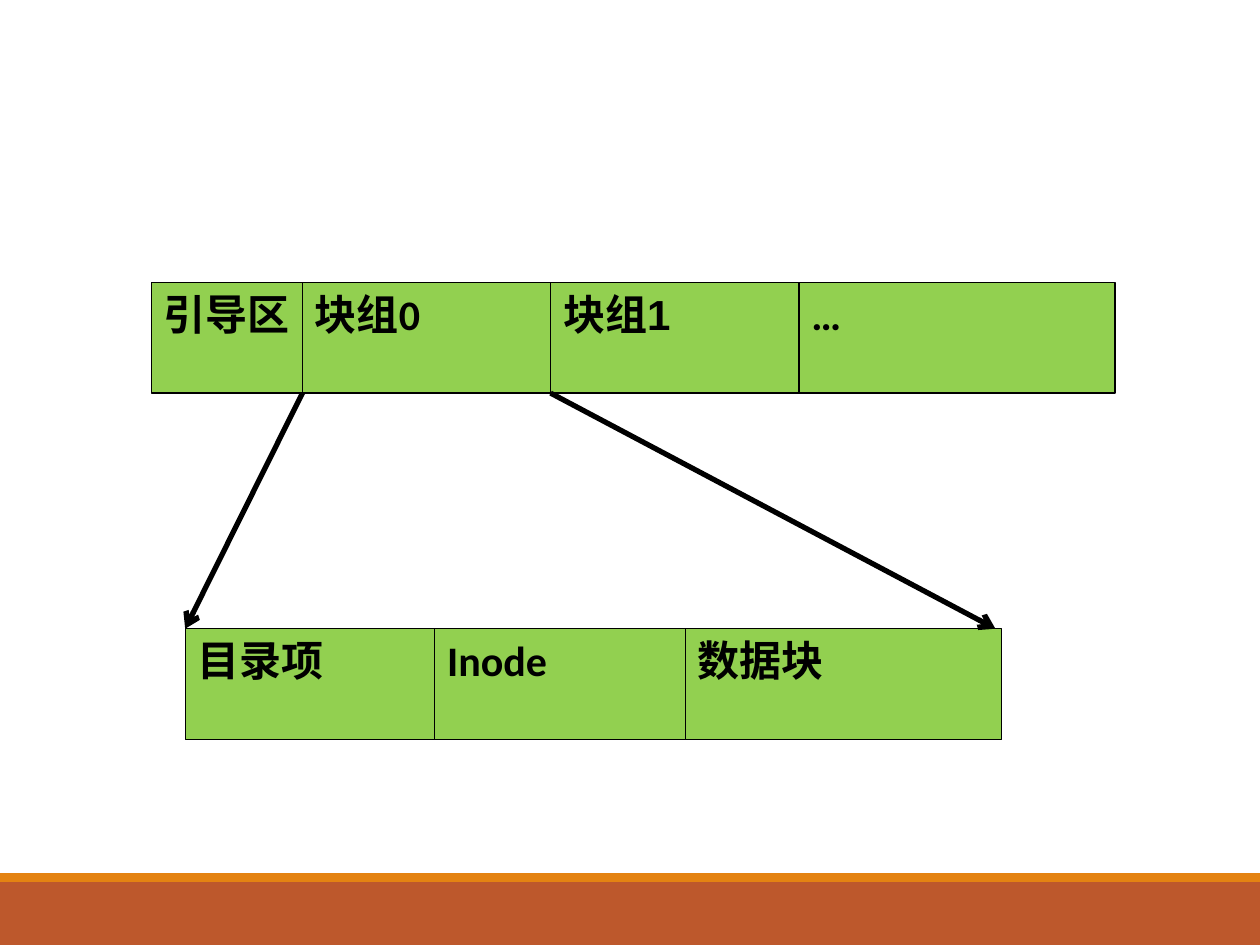
from lxml.etree import SubElement
from pptx import Presentation
from pptx.dml.color import RGBColor
from pptx.enum.shapes import MSO_CONNECTOR as Link, MSO_SHAPE as Form
from pptx.enum.text import MSO_ANCHOR as Anchor, PP_ALIGN as Align
from pptx.oxml.ns import qn
from pptx.util import Inches, Pt

GREEN = RGBColor(0x92, 0xD0, 0x50)
BLACK = RGBColor(0, 0, 0)
RUST = RGBColor(0xBD, 0x58, 0x2C)
AMBER = RGBColor(0xE4, 0x83, 0x12)

WIDE, HIGH = 10, 7.5
CELL, ROW = 2.51, 0.88


def add_rect(slide, box, fill):
    rect = slide.shapes.add_shape(Form.RECTANGLE, *map(Inches, box))
    rect.shadow.inherit = False
    rect.fill.solid()
    rect.fill.fore_color.rgb = fill
    rect.line.fill.background()
    return rect


def add_block(slide, box, runs):
    block = add_rect(slide, box, GREEN)
    block.line.color.rgb = BLACK
    block.line.width = Pt(0.75)
    frame = block.text_frame
    frame.word_wrap = False
    frame.vertical_anchor = Anchor.TOP
    para = frame.paragraphs[0]
    para.alignment = Align.LEFT
    for text, face in runs:
        run = para.add_run()
        run.text = text
        font = run.font
        font.name, font.size, font.bold = face, Pt(24), True
        font.color.rgb = BLACK


def add_strip(slide, left, top, pitch, first, blocks):
    for col, runs in enumerate(blocks):
        x = left + first + (col - 1) * pitch if col else left
        wide = CELL if col else first
        add_block(slide, (x, top, wide, ROW), runs)


def add_arrow(slide, start, end):
    arrow = slide.shapes.add_connector(
        Link.STRAIGHT, *map(Inches, (*start, *end)))
    arrow.line.color.rgb = BLACK
    arrow.line.width = Pt(3)
    SubElement(arrow.line._get_or_add_ln(), qn("a:tailEnd"), type="arrow")
    SubElement(arrow._element.spPr, qn("a:effectLst"))


def add_footer(slide, top, band):
    add_rect(slide, (0, top + band, WIDE, HIGH - top - band), RUST)
    add_rect(slide, (0, top, WIDE, band), AMBER)


def add_disk(slide, left, top):
    boot, pitch = 1.2, 1.97
    add_block(slide, (left, top, 1.53, ROW), [("引导区", "Calibri")])
    groups = [
        [("块组", "Arial"), ("0", "Calibri")],
        [("块组1", "Arial")],
        [("…", "Calibri")],
    ]
    add_strip(slide, left + boot, top, pitch, CELL, groups[:1])
    for col, runs in enumerate(groups[1:], 1):
        add_block(slide, (left + boot + col * pitch, top, CELL, ROW), runs)
    return [(left + boot + col * pitch, top + ROW) for col in range(2)]


def add_group(slide, left, top):
    pitch = 1.99
    parts = [("目录项", "Calibri"), ("Inode", "Calibri"), ("数据块", "Arial")]
    add_strip(slide, left, top, pitch, 1.98, [[part] for part in parts])
    return [(left, top), (7.9, top)]


def main():
    deck = Presentation()
    deck.slide_width, deck.slide_height = Inches(WIDE), Inches(HIGH)
    slide = deck.slides.add_slide(deck.slide_layouts[6])
    add_footer(slide, 6.93, 0.07)
    starts = add_disk(slide, 1.2, 2.24)
    ends = add_group(slide, 1.47, 4.99)
    for start, end in zip(starts, ends):
        add_arrow(slide, start, end)
    deck.save("out.pptx")


if __name__ == "__main__":
    main()
